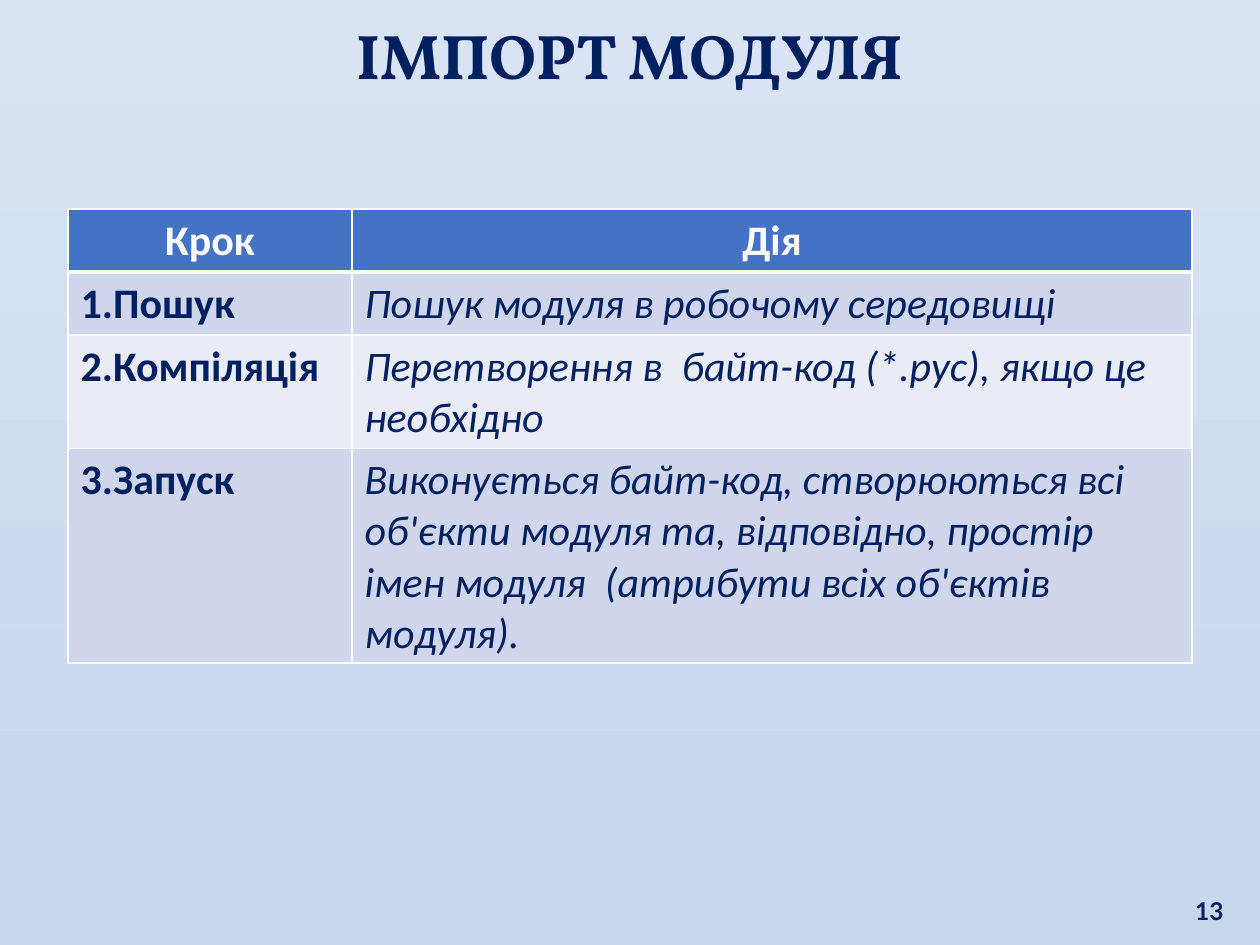
from lxml import etree
from pptx import Presentation
from pptx.dml.color import RGBColor
from pptx.enum.text import MSO_ANCHOR, PP_ALIGN
from pptx.oxml.ns import qn
from pptx.util import Emu, Pt

LEFT, CENTER, RIGHT = PP_ALIGN.LEFT, PP_ALIGN.CENTER, PP_ALIGN.RIGHT
TOP, BOTTOM = MSO_ANCHOR.TOP, MSO_ANCHOR.BOTTOM

COLORS = {
    "sky_top": "DAE3F3", "sky_bottom": "C7D5ED", "navy": "002060",
    "white": "FFFFFF", "header": "4472C4", "odd": "CFD5EA", "even": "E9EBF5",
}
TITLE = "ІМПОРТ МОДУЛЯ"
PAGE = "13"
STEPS = [
    ("Крок", "Дія"),
    ("1.Пошук", "Пошук модуля в робочому середовищі"),
    ("2.Компіляція", "Перетворення в  байт-код (*.pyc), якщо це необхідно"),
    ("3.Запуск", "Виконується байт-код, створюються всі об'єкти модуля та, "
                 "відповідно, простір імен модуля  (атрибути всіх об'єктів модуля)."),
]
COL_WIDTHS = [284, 840]
ROW_HEIGHTS = [63, 63, 113, 214]
TABLE_LEFT, TABLE_TOP = 68, 209


def px(n):
    return Emu(n * 914400 // 126)


def rgb(name):
    return RGBColor.from_string(COLORS[name])


def write(tf, text, font, size, color, align, bold=True, italic=False):
    tf.text = text
    p = tf.paragraphs[0]
    p.alignment = align
    f = p.runs[0].font
    f.name, f.size, f.bold, f.italic = font, Pt(size), bold, italic
    f.color.rgb = rgb(color)


def add_text(s, box, text, font, size, align, anchor):
    tf = s.shapes.add_textbox(*map(px, box)).text_frame
    tf.word_wrap = True
    tf.vertical_anchor = anchor
    write(tf, text, font, size, "navy", align)


def set_borders(cell, widths):
    """Draw white cell borders; widths maps each side to points."""
    tcPr = cell._tc.get_or_add_tcPr()
    for i, (side, width) in enumerate(widths.items()):
        ln = etree.Element(qn(f"a:ln{side}"), w=str(Pt(width)))
        fill = etree.SubElement(ln, qn("a:solidFill"))
        etree.SubElement(fill, qn("a:srgbClr"), val=COLORS["white"])
        tcPr.insert(i, ln)


def add_steps_table(s):
    table = s.shapes.add_table(
        len(STEPS), len(COL_WIDTHS), px(TABLE_LEFT), px(TABLE_TOP),
        px(sum(COL_WIDTHS)), px(sum(ROW_HEIGHTS))).table
    for col, width in zip(table.columns, COL_WIDTHS):
        col.width = px(width)
    for r, (row, height) in enumerate(zip(table.rows, ROW_HEIGHTS)):
        row.height = px(height)
        header = r == 0
        band = "header" if header else "odd" if r % 2 else "even"
        for c, cell in enumerate(row.cells):
            action = c == 1 and not header
            cell.fill.solid()
            cell.fill.fore_color.rgb = rgb(band)
            write(cell.text_frame, STEPS[r][c], "Calibri", 24,
                  "white" if header else "navy", CENTER if header else LEFT,
                  bold=not action, italic=action)
            set_borders(cell, {"L": 1, "R": 1, "T": 3 if r == 1 else 1,
                               "B": 3 if header else 1})


def main():
    prs = Presentation()
    prs.slide_width, prs.slide_height = px(1260), px(945)
    s = prs.slides.add_slide(prs.slide_layouts[6])

    sky = s.background.fill
    sky.gradient()
    sky.gradient_angle = 270
    for stop, name in zip(sky.gradient_stops, ("sky_top", "sky_bottom")):
        stop.color.rgb = rgb(name)

    add_text(s, (15, 10, 1230, 89), TITLE, "Vollkorn", 36, CENTER, TOP)
    add_text(s, (1176, 869, 60, 63), PAGE, "Lato", 14, RIGHT, BOTTOM)
    add_steps_table(s)
    prs.save("out.pptx")


if __name__ == "__main__":
    main()
